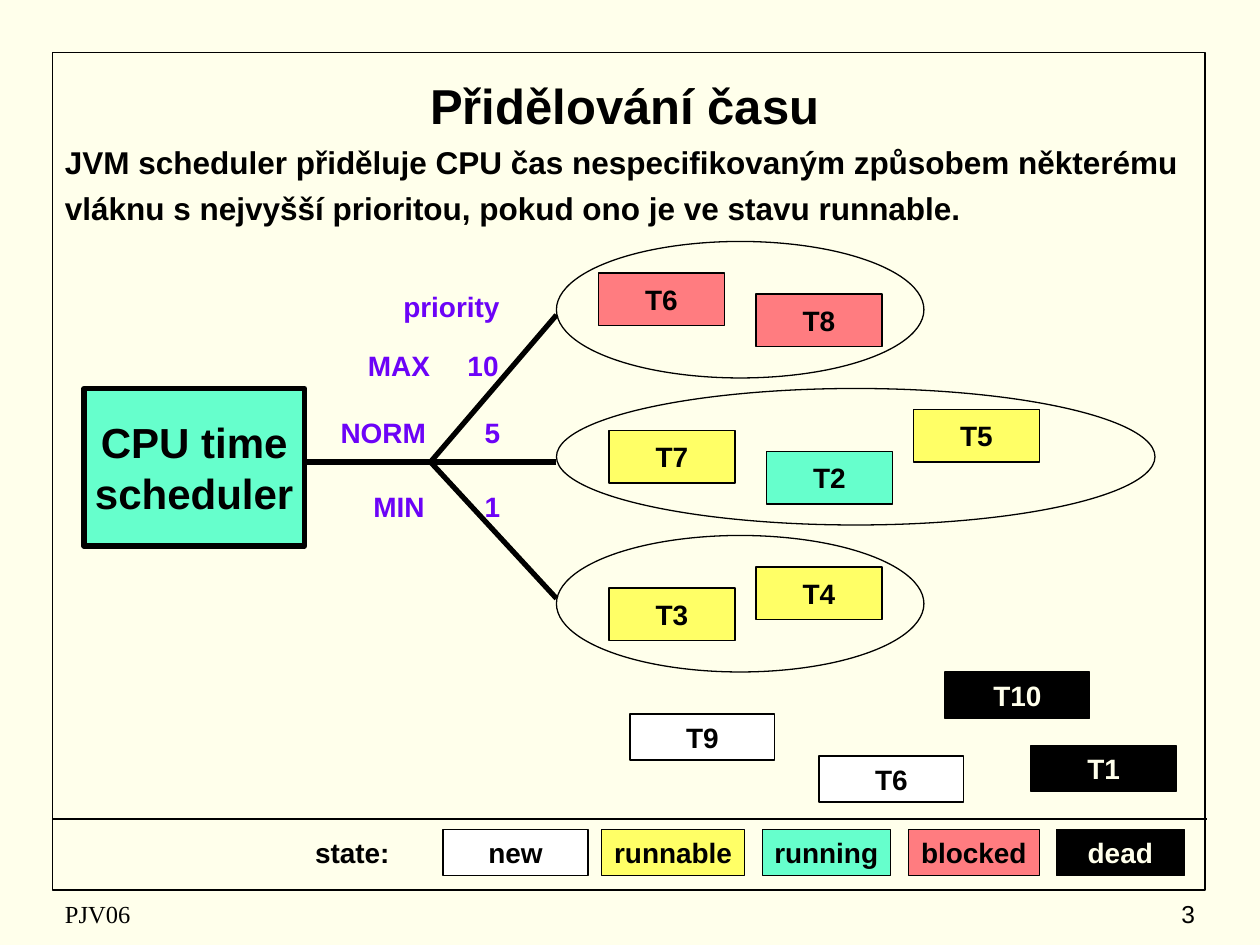
"""Build the slide on how a scheduler hands out CPU time."""
from dataclasses import dataclass
from typing import NamedTuple, Optional

from lxml import etree
from pptx import Presentation
from pptx.dml.color import RGBColor
from pptx.enum.shapes import MSO_CONNECTOR, MSO_SHAPE
from pptx.enum.text import MSO_ANCHOR, MSO_AUTO_SIZE, PP_ALIGN
from pptx.oxml.ns import qn
from pptx.util import Inches, Pt

RECT, OVAL = MSO_SHAPE.RECTANGLE, MSO_SHAPE.OVAL
STRAIGHT = MSO_CONNECTOR.STRAIGHT
LEFT, CENTER, RIGHT = PP_ALIGN.LEFT, PP_ALIGN.CENTER, PP_ALIGN.RIGHT
TOP, MIDDLE = MSO_ANCHOR.TOP, MSO_ANCHOR.MIDDLE
FIXED = MSO_AUTO_SIZE.NONE

CREAM = RGBColor(0xFF, 0xFF, 0xEB)
BLACK = RGBColor(0, 0, 0)
WHITE = RGBColor(0xFF, 0xFF, 0xFF)
YELLOW = RGBColor(0xFF, 0xFF, 0x66)
MINT = RGBColor(0x66, 0xFF, 0xCC)
ROSE = RGBColor(0xFF, 0x7C, 0x80)
VIOLET = RGBColor(0x6C, 0x03, 0xF7)

WIDTH, HEIGHT = Inches(10), Inches(7.5)
COLS, ROWS = 120, 90
LOW = 4.4


class Area(NamedTuple):
    """Left, top, width and height in grid cells."""
    col: float
    row: float
    wide: float
    high: float


class Link(NamedTuple):
    """A line between two grid points."""
    start: tuple
    end: tuple
    weight: float


@dataclass(frozen=True)
class Style:
    """The look of a piece of text."""
    size: int = 16
    ink: RGBColor = BLACK
    bold: bool = True
    font: str = "Arial"
    align: PP_ALIGN = CENTER
    anchor: MSO_ANCHOR = MIDDLE
    wrap: bool = False
    gap: float = 0


@dataclass(frozen=True)
class State:
    """A thread state with its place in the legend."""
    name: str
    fill: RGBColor
    col: float
    wide: float
    ink: RGBColor = BLACK


class Thread(NamedTuple):
    """A thread in a given state."""
    name: str
    state: State
    col: float
    row: float


PLAIN = Style()
LABEL = Style(ink=VIOLET)
TITLE = Style(size=28, wrap=True)
BODY = Style(size=18, align=LEFT, anchor=TOP, wrap=True, gap=5)
FOOT = Style(size=14, bold=False, font="Times New Roman", align=LEFT)
PAGE = Style(size=14, bold=False, align=RIGHT)

NEW = State("new", WHITE, 42.2, 13.8)
READY = State("runnable", YELLOW, 57.3, 13.6)
ACTIVE = State("running", MINT, 72.6, 12.2)
STUCK = State("blocked", ROSE, 86.5, 12.5)
DEAD = State("dead", BLACK, 100.6, 12.2, CREAM)
STATES = [NEW, READY, ACTIVE, STUCK, DEAD]

QUEUED = [
    Thread("T6", STUCK, 57, 26), Thread("T8", STUCK, 72, 28),
    Thread("T7", READY, 58, 41), Thread("T2", ACTIVE, 73, 43),
    Thread("T5", READY, 87, 39),
    Thread("T3", READY, 58, 56), Thread("T4", READY, 72, 54),
]
LOOSE = [
    Thread("T9", NEW, 60, 68), Thread("T6", NEW, 78, 72),
    Thread("T10", DEAD, 90, 64), Thread("T1", DEAD, 98.2, 71),
]
LABELS = [
    ("priority", Area(37, 27, 12, LOW)),
    ("MAX", Area(33, 32.6, 10, LOW)), ("10", Area(42, 32.6, 8, LOW)),
    ("NORM", Area(30, 39, 13, LOW)), ("5", Area(45, 39, 3.8, LOW)),
    ("MIN", Area(33, 46, 10, LOW)), ("1", Area(45, 46, 3.8, LOW)),
]
FORK = (41, 44)
LINKS = [
    Link((53, 44), (29, 44), 3),
    Link((53, 30), FORK, 3),
    Link((53, 57), FORK, 3),
    Link((5, 78), (115, 78), 0.75),
]
INTRO = (
    "JVM scheduler přiděluje CPU čas nespecifikovaným způsobem některému\n"
    "vláknu s nejvyšší prioritou, pokud ono je ve stavu runnable."
)


def across(cells: float) -> int:
    """Turn grid columns into a length."""
    return round(WIDTH * cells / COLS)


def down(cells: float) -> int:
    """Turn grid rows into a length."""
    return round(HEIGHT * cells / ROWS)


def place(area: Area) -> tuple:
    """Turn an area into left, top, width and height."""
    return across(area.col), down(area.row), across(area.wide), down(area.high)


def write(shape, text: str, style: Style) -> None:
    """Put styled text into a shape."""
    frame = shape.text_frame
    frame.text = text
    frame.auto_size = FIXED
    frame.word_wrap = style.wrap
    frame.vertical_anchor = style.anchor
    for rank, para in enumerate(frame.paragraphs):
        para.alignment = style.align
        para.space_before = Pt(style.gap if rank else 0)
        for run in para.runs:
            font = run.font
            font.name, font.size, font.bold = style.font, Pt(style.size), style.bold
            font.color.rgb = style.ink


def note(slide, text: str, area: Area, style: Style) -> None:
    """Add a text box."""
    write(slide.shapes.add_textbox(*place(area)), text, style)


def block(slide, kind, area: Area, fill: Optional[RGBColor], weight: float = 0.75):
    """Add an outlined shape."""
    shape = slide.shapes.add_shape(kind, *place(area))
    shape.shadow.inherit = False
    if fill is None:
        shape.fill.background()
    else:
        shape.fill.solid()
        shape.fill.fore_color.rgb = fill
    shape.line.color.rgb = BLACK
    shape.line.width = Pt(weight)
    return shape


def tag(slide, text: str, state: State, area: Area) -> None:
    """Add a box in the colours of a state."""
    write(block(slide, RECT, area, state.fill), text, Style(ink=state.ink))


def join(slide, link: Link) -> None:
    """Add a straight line."""
    (left, top), (right, base) = link.start, link.end
    line = slide.shapes.add_connector(
        STRAIGHT, across(left), down(top), across(right), down(base))
    line.line.color.rgb = BLACK
    line.line.width = Pt(link.weight)
    etree.SubElement(line._element.spPr, qn("a:effectLst"))


def main() -> None:
    """Build and save the slide."""
    deck = Presentation()
    deck.slide_width, deck.slide_height = WIDTH, HEIGHT
    slide = deck.slides.add_slide(deck.slide_layouts[5])
    slide.background.fill.solid()
    slide.background.fill.fore_color.rgb = CREAM

    block(slide, RECT, Area(5, 5, 109.8, 79.8), None, 1)
    title = slide.shapes.title
    title.left, title.top, title.width, title.height = place(Area(6, 6, 107, 8))
    write(title, "Přidělování času", TITLE)
    note(slide, INTRO, Area(5, 13, 110, 11), BODY)

    for rank, wide in enumerate((35, 57, 35)):
        block(slide, OVAL, Area(53, 23 + 14 * rank, wide, 13), CREAM)
    core = block(slide, RECT, Area(8, 37, 21, 15), MINT, 3)
    write(core, "CPU time\nscheduler", Style(size=24))
    for link in LINKS:
        join(slide, link)
    for text, area in LABELS:
        note(slide, text, area, LABEL)

    for item in QUEUED:
        tag(slide, item.name, item.state, Area(item.col, item.row, 12, 5))
    for item in LOOSE:
        tag(slide, item.name, item.state, Area(item.col, item.row, 13.8, LOW))
    note(slide, "state:", Area(28.8, 79, 9.5, LOW), PLAIN)
    for state in STATES:
        tag(slide, state.name, state, Area(state.col, 79, state.wide, LOW))

    note(slide, "PJV06", Area(5, 85, 38, 4), FOOT)
    note(slide, "3", Area(90, 85, 25, 4), PAGE)
    deck.save("out.pptx")


if __name__ == "__main__":
    main()
